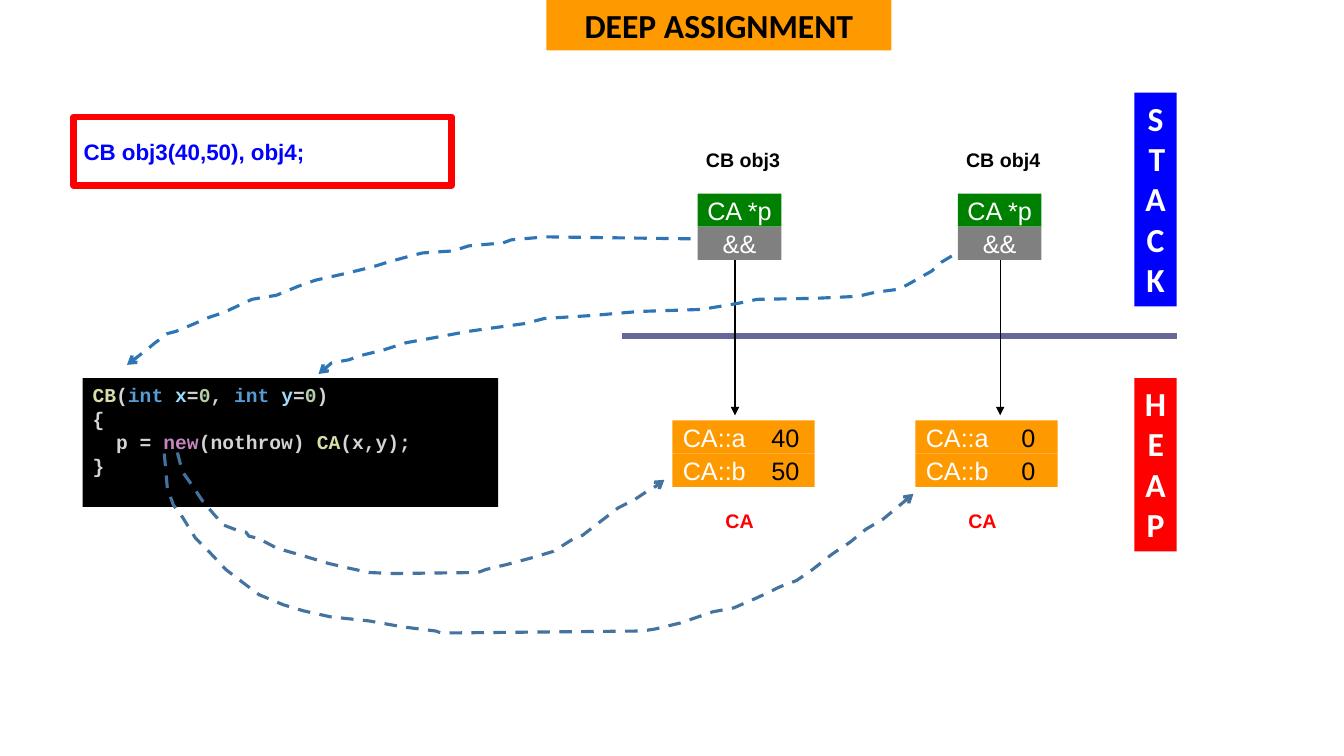
from lxml import etree
from pptx import Presentation
from pptx.dml.color import RGBColor
from pptx.enum.dml import MSO_LINE
from pptx.enum.shapes import MSO_CONNECTOR, MSO_SHAPE
from pptx.enum.text import MSO_ANCHOR, MSO_AUTO_SIZE, PP_ALIGN
from pptx.oxml.ns import qn
from pptx.util import Pt

PX = 9144  # EMU in one px, 100 px to the inch
RECTANGLE, STRAIGHT = MSO_SHAPE.RECTANGLE, MSO_CONNECTOR.STRAIGHT
TOP, MIDDLE = MSO_ANCHOR.TOP, MSO_ANCHOR.MIDDLE
LEFT, CENTER = PP_ALIGN.LEFT, PP_ALIGN.CENTER
DASH, FIXED_SIZE = MSO_LINE.DASH, MSO_AUTO_SIZE.NONE

COLORS = {
    "black": "000000", "white": "FFFFFF", "blue": "0000FF", "red": "FF0000",
    "orange": "FF9900", "green": "008000", "gray": "808080", "divider": "666699",
    "call": "2E75B6", "allocation": "43739E",
    "plain": "D4D4D4", "function": "DCDCAA", "type": "569CD6",
    "variable": "9CDCFE", "number": "B5CEA8", "keyword": "C586C0",
}

ROW, FIELD_WIDTH, VALUE_WIDTH = 33, 83, 58

CONSTRUCTOR = [
    [("CB", "function"), ("(", "plain"), ("int ", "type"), ("x", "variable"),
     ("=", "plain"), ("0", "number"), (", ", "plain"), ("int ", "type"),
     ("y", "variable"), ("=", "plain"), ("0", "number"), (")", "plain")],
    [("{", "plain")],
    [("  p = ", "plain"), ("new", "keyword"), ("(nothrow) ", "plain"),
     ("CA", "function"), ("(x,y);", "plain")],
    [("}", "plain")],
]

OBJ3_CALL = [
    (685, 237), (541, 235), (507, 238), (499, 241), (465, 244), (449, 249),
    (419, 251), (407, 254), (385, 260), (369, 265), (340, 272), (313, 278),
    (296, 284), (274, 293), (250, 297), (222, 310), (207, 315), (191, 322),
    (174, 329), (166, 331), (154, 340), (143, 349), (126, 362)]
OBJ4_CALL = [
    (944, 254), (934, 260), (924, 269), (915, 274), (901, 282), (891, 287),
    (868, 290), (851, 294), (809, 296), (751, 297), (732, 301), (696, 307),
    (634, 309), (588, 313), (540, 316), (521, 321), (484, 326), (463, 329),
    (431, 335), (403, 340), (381, 347), (357, 353), (346, 357), (329, 360),
    (316, 371)]
OBJ3_ALLOCATION = [
    (176, 449), (181, 468), (191, 482), (201, 497), (212, 510), (222, 521),
    (235, 526), (244, 528), (247, 532), (256, 534), (275, 544), (296, 550),
    (326, 559), (343, 563), (366, 568), (390, 569), (474, 568), (482, 565),
    (503, 560), (529, 553), (549, 547), (568, 535), (578, 531), (591, 521),
    (613, 504), (629, 496), (641, 488), (653, 481), (659, 476)]
OBJ4_ALLOCATION = [
    (163, 450), (166, 484), (172, 501), (181, 513), (194, 534), (209, 549),
    (224, 565), (241, 578), (257, 590), (281, 600), (301, 606), (328, 612),
    (366, 616), (400, 622), (432, 626), (438, 628), (637, 626), (650, 624),
    (675, 618), (707, 607), (728, 603), (751, 593), (774, 582), (790, 576),
    (806, 565), (825, 550), (843, 538), (859, 525), (876, 515), (894, 500),
    (906, 490)]


def rgb(color):
    return RGBColor.from_string(COLORS[color])


def write_text(shape, lines, size=14, font="Arial", color="black", bold=True,
               align=CENTER, anchor=TOP, wrap=True):
    """Fill a shape with lines, each a list of (text, colour) or one string."""
    frame = shape.text_frame
    frame.auto_size = FIXED_SIZE
    frame.word_wrap = wrap
    frame.vertical_anchor = anchor
    for index, line in enumerate(lines):
        paragraph = frame.add_paragraph() if index else frame.paragraphs[0]
        paragraph.alignment = align
        for text, run_color in [(line, color)] if isinstance(line, str) else line:
            run = paragraph.add_run()
            run.text = text
            run.font.size, run.font.name, run.font.bold = Pt(size), font, bold
            run.font.color.rgb = rgb(run_color)


def place(shape, box):
    shape.left, shape.top, shape.width, shape.height = (n * PX for n in box)


def paint(shape, fill, outline=None):
    shape.fill.solid()
    shape.fill.fore_color.rgb = rgb(fill)
    if outline:
        style_line(shape.line, outline, 4.5)
    else:
        shape.line.fill.background()


def style_line(line, color, width):
    line.color.rgb = rgb(color)
    line.width = Pt(width)


def add_arrowhead(shape, kind):
    etree.SubElement(shape.line._get_or_add_ln(), qn("a:tailEnd"), type=kind)


def add_panel(slide, box, lines, fill, outline=None, **text_format):
    panel = slide.shapes.add_shape(RECTANGLE, *(n * PX for n in box))
    panel.shadow.inherit = False
    paint(panel, fill, outline)
    write_text(panel, lines, **text_format)


def add_cell(slide, box, text, fill, color="white"):
    add_panel(slide, box, [text], fill, size=18, color=color, bold=False,
              anchor=MIDDLE, wrap=False)


def add_label(slide, box, text, color="black"):
    label = slide.shapes.add_textbox(*(n * PX for n in box))
    write_text(label, [text], color=color)


def add_line(slide, start, end, color, width, head=None):
    line = slide.shapes.add_connector(STRAIGHT, *(n * PX for n in start + end))
    style_line(line.line, color, width)
    if head:
        add_arrowhead(line, head)
    etree.SubElement(line._element.spPr, qn("a:effectLst"))


def add_dashed_arrow(slide, points, color):
    builder = slide.shapes.build_freeform(*points[0], scale=PX)
    builder.add_line_segments(points[1:], close=False)
    arrow = builder.convert_to_shape()
    arrow.fill.background()
    style_line(arrow.line, color, 2.25)
    arrow.line.dash_style = DASH
    add_arrowhead(arrow, "arrow")
    arrow.shadow.inherit = False


def add_title(slide, box):
    title = slide.shapes.title
    place(title, box)
    paint(title, "orange")
    write_text(title, ["DEEP ASSIGNMENT"], size=24, font="Calibri")


def add_memory_areas(slide, left, right, divider_top):
    add_line(slide, (left, divider_top), (right, divider_top), "divider", 4.5)
    for name, top, height, fill in (("STACK", 92, 212, "blue"), ("HEAP", 375, 172, "red")):
        add_panel(slide, (right - 42, top, 42, height), [name], fill,
                  size=24, font="Calibri", color="white")


def add_stack_object(slide, left, top, name):
    add_label(slide, (left - 9, top - 50, 108, ROW), name)
    for row, (text, fill) in enumerate((("CA *p", "green"), ("&&", "gray"))):
        add_cell(slide, (left, top + row * ROW, FIELD_WIDTH, ROW), text, fill)


def add_heap_object(slide, left, top, values):
    for row, (field, value) in enumerate(zip(("CA::a", "CA::b"), values)):
        y = top + row * ROW
        add_cell(slide, (left, y, FIELD_WIDTH, ROW), field, "orange")
        add_cell(slide, (left + FIELD_WIDTH, y, VALUE_WIDTH, ROW), value, "orange", "black")
    add_label(slide, (left + 25, top + 83, FIELD_WIDTH, ROW), "CA", "red")


def main():
    deck = Presentation()
    deck.slide_width, deck.slide_height = 1333 * PX, 750 * PX
    slide = deck.slides.add_slide(deck.slide_layouts[5])
    add_title(slide, (542, 0, 342, 50))
    add_memory_areas(slide, 617, 1167, 333)
    for name, stack_left, heap_left, pointer_x, pointer_width, values in (
            ("CB obj3", 692, 667, 729, 0.75, ("40", "50")),
            ("CB obj4", 950, 908, 992, 0.5, ("0", "0"))):
        add_stack_object(slide, stack_left, 192, name)
        add_heap_object(slide, heap_left, 417, values)
        add_line(slide, (pointer_x, 258), (pointer_x, 412), "black", pointer_width, "triangle")
    add_panel(slide, (73, 116, 375, 68), ["CB obj3(40,50), obj4;"], "white", "red",
              size=16, color="blue", align=LEFT, anchor=MIDDLE)
    add_panel(slide, (82, 375, 412, 128), CONSTRUCTOR, "black",
              font="Courier New", align=LEFT)
    for points, color in ((OBJ3_CALL, "call"), (OBJ4_CALL, "call"),
                          (OBJ3_ALLOCATION, "allocation"), (OBJ4_ALLOCATION, "allocation")):
        add_dashed_arrow(slide, points, color)
    deck.save("out.pptx")


if __name__ == "__main__":
    main()
